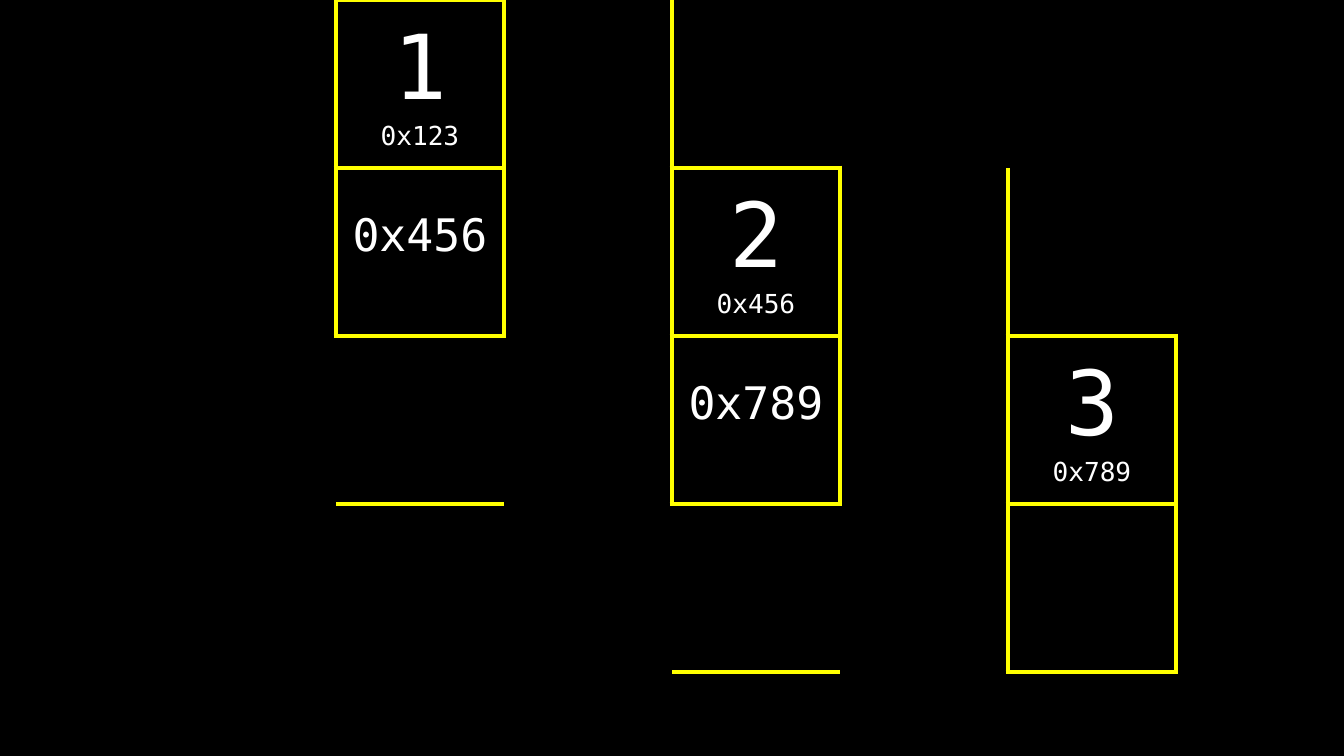
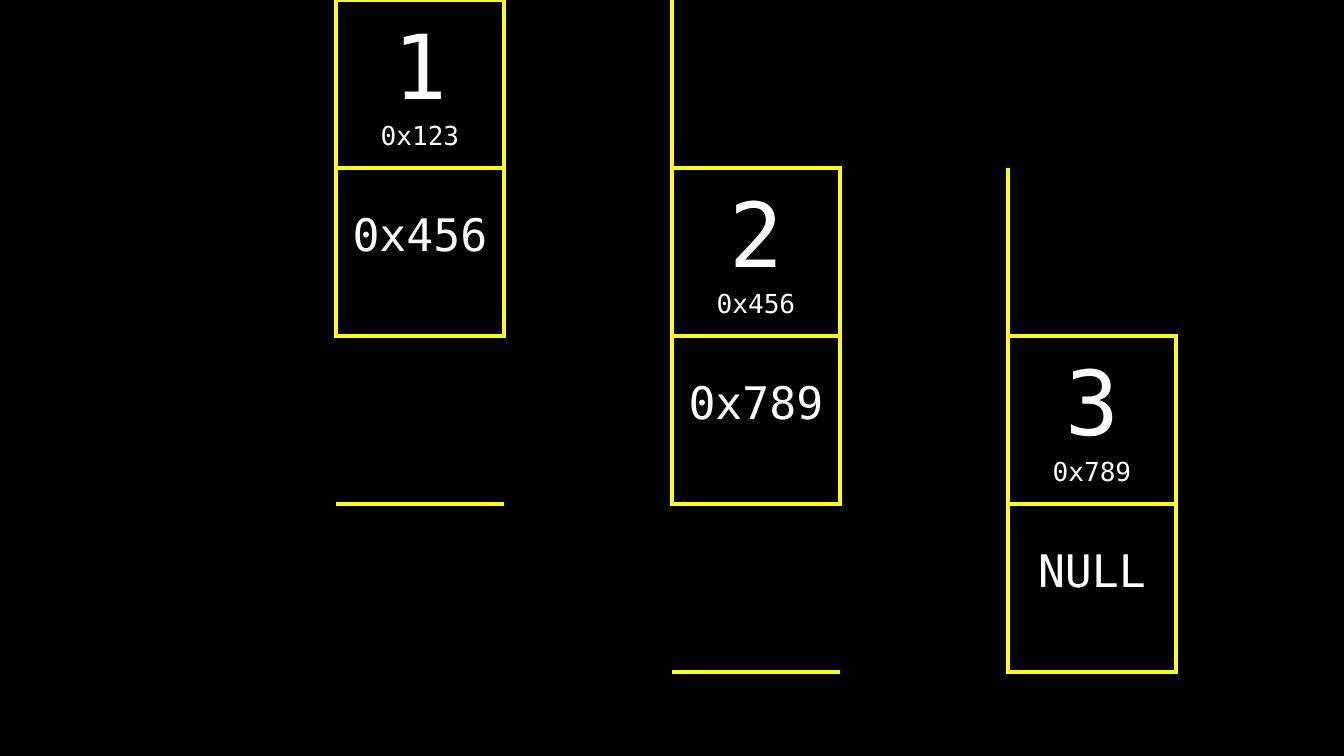
from lxml import etree
from pptx import Presentation
from pptx import util as u
from pptx.dml.color import RGBColor
from pptx.enum import text
from pptx.oxml import ns

BLACK = RGBColor(0x00, 0x00, 0x00)
YELLOW = RGBColor(0xFF, 0xFF, 0x00)
WHITE = RGBColor(0xFF, 0xFF, 0xFF)
FONT = "DejaVu Sans Mono"
NO_STYLE = "{2D5ABB26-0587-4C30-8999-92F81FD0307C}"

WIDTH = u.Inches(10)
HEIGHT = WIDTH * 9 // 16
COLUMNS, ROWS = 8, 5
CELL = WIDTH // COLUMNS
BORDER = u.Pt(3)
INSET = u.Inches(0.1)
POINTER_LIFT = u.Inches(0.55)
VALUE_SIZE, ADDRESS_SIZE, POINTER_SIZE = 48, 14, 24

SIDES = {"lnL": (0, -1), "lnR": (0, 1), "lnT": (-1, 0), "lnB": (1, 0)}
NODES = [("1", "0x123"), ("2", "0x456"), ("3", "0x789")]
LINKS = [address for _, address in NODES[1:]]


def write_cell(cell, lines, anchor, bottom=INSET):
    """Fill a cell with centred (words, size) lines."""
    cell.vertical_anchor = anchor
    cell.margin_left = cell.margin_right = cell.margin_top = INSET
    cell.margin_bottom = bottom
    frame = cell.text_frame
    for index, (words, size) in enumerate(lines):
        para = frame.add_paragraph() if index else frame.paragraphs[0]
        para.text = words
        para.alignment = text.PP_ALIGN.CENTER
        para.font.size = u.Pt(size)
        para.font.name = FONT
        para.font.color.rgb = WHITE


def draw_border(cell, side):
    """Draw one yellow edge of a cell."""
    line = etree.SubElement(cell._tc.get_or_add_tcPr(), ns.qn(f"a:{side}"), w=str(BORDER))
    fill = etree.SubElement(line, ns.qn("a:solidFill"))
    etree.SubElement(fill, ns.qn("a:srgbClr"), val=str(YELLOW))


def outline_boxes(table, boxes):
    """Outline the boxed cells, marking each shared edge on both neighbours."""
    for row in range(ROWS):
        for column in range(COLUMNS):
            cell = table.cell(row, column)
            for side, (down, across) in SIDES.items():
                if boxes & {(row, column), (row + down, column + across)}:
                    draw_border(cell, side)
            cell.fill.background()


def add_grid(page):
    """Add the plain table of square cells that covers the slide."""
    table = page.shapes.add_table(ROWS, COLUMNS, 0, 0, WIDTH, CELL * ROWS).table
    table.first_row = table.horz_banding = False
    table._tbl.tblPr.find(ns.qn("a:tableStyleId")).text = NO_STYLE
    for band in table.columns:
        band.width = CELL
    for band in table.rows:
        band.height = CELL
    return table


def add_list_slide(deck, pointers):
    """Add a slide with the linked nodes stepping down to the right."""
    table = add_grid(deck.slides.add_slide(deck.slide_layouts[6]))
    boxes = set()
    for row, ((value, address), pointer) in enumerate(zip(NODES, pointers)):
        column = 2 + 2 * row
        boxes |= {(row, column), (row + 1, column)}
        write_cell(table.cell(row, column), [(value, VALUE_SIZE), (address, ADDRESS_SIZE)],
                   text.MSO_ANCHOR.MIDDLE)
        if pointer:
            write_cell(table.cell(row + 1, column), [(pointer, POINTER_SIZE)],
                       text.MSO_ANCHOR.BOTTOM, POINTER_LIFT)
    outline_boxes(table, boxes)


def main():
    """Build the deck and save it."""
    deck = Presentation()
    deck.slide_width, deck.slide_height = WIDTH, HEIGHT
    background = deck.slide_master.background.fill
    background.solid()
    background.fore_color.rgb = BLACK
    for last_pointer in ("", "NULL"):
        add_list_slide(deck, LINKS + [last_pointer])
    deck.save("out.pptx")


if __name__ == "__main__":
    main()
